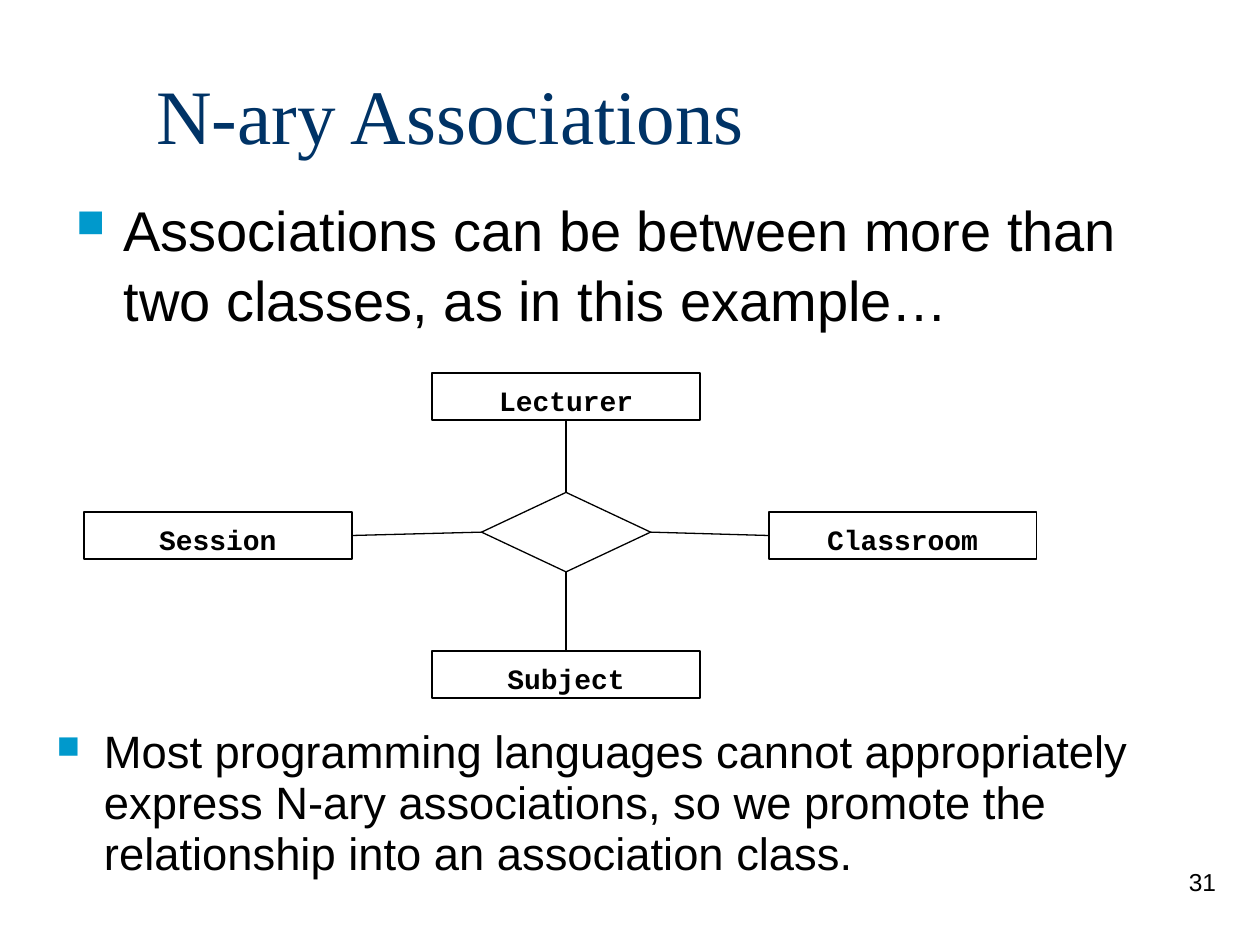
from lxml import etree
from pptx import Presentation
from pptx.dml.color import RGBColor
from pptx.enum.shapes import MSO_CONNECTOR, MSO_SHAPE
from pptx.enum.text import MSO_ANCHOR, PP_ALIGN
from pptx.oxml.ns import qn
from pptx.util import Pt

LEFT, CENTER, RIGHT = PP_ALIGN.LEFT, PP_ALIGN.CENTER, PP_ALIGN.RIGHT
TOP, MIDDLE = MSO_ANCHOR.TOP, MSO_ANCHOR.MIDDLE
RECTANGLE, DIAMOND = MSO_SHAPE.RECTANGLE, MSO_SHAPE.DIAMOND
STRAIGHT = MSO_CONNECTOR.STRAIGHT

# Content: places are left, top, width, height in points
TITLE = ("N-ary Associations", (82, 20, 612, 90))
BULLETS = [  # text, place, size name, line spacing
    ("Associations can be between more than two classes, as in this example…",
     (36.5, 106, 612, 90.5), "lead", 1.05),
    ("Most programming languages cannot appropriately express N-ary associations, "
     "so we promote the relationship into an association class.",
     (25.3, 412, 680, 108), "note", 0.94),
]
PAGE_NUMBER = ("31", (552, 492, 150, 36))

# Connection sites of rectangles and diamonds
SITE_TOP, SITE_LEFT, SITE_BOTTOM, SITE_RIGHT = range(4)
CLASSES = [  # name, left, row, site on the diamond, site on the class
    ("Lecturer", 247, 0, SITE_TOP, SITE_BOTTOM),
    ("Session", 48, 1, SITE_LEFT, SITE_RIGHT),
    ("Subject", 247, 2, SITE_BOTTOM, SITE_TOP),
    ("Classroom", 439.3, 1, SITE_RIGHT, SITE_LEFT),
]
CLASS_SIZE = (153, 27)
FIRST_ROW, ROW_STEP = 213, 79.5
ASSOCIATION = (275.2, 281.4, 96.6, 45.4)

THEME = {
    "title": ("Times New Roman", 44, RGBColor(0x00, 0x33, 0x66)),
    "lead": ("Arial", 32, RGBColor(0, 0, 0)),
    "note": ("Arial", 25.9, RGBColor(0, 0, 0)),
    "class": ("Courier New", 16, RGBColor(0, 0, 0)),
    "page": ("Arial", 14, RGBColor(0, 0, 0)),
    "line": RGBColor(0, 0, 0),
    "bullet": "0099CC",
}
BULLET_INDENT = 27


def points(place):
    return [Pt(value) for value in place]


def write(box, text, style, align=LEFT, anchor=TOP, bold=False, inset_top=3.6):
    frame = box.text_frame
    frame.word_wrap = True
    frame.vertical_anchor = anchor
    frame.margin_left = frame.margin_right = Pt(7.2)
    frame.margin_top, frame.margin_bottom = Pt(inset_top), Pt(3.6)
    para = frame.paragraphs[0]
    para.text = text
    para.alignment = align
    font = para.font
    font.name, size, font.color.rgb = THEME[style]
    font.size, font.bold = Pt(size), bold
    return para


def add_bullet(para):
    properties = para._p.get_or_add_pPr()
    properties.set("marL", str(Pt(BULLET_INDENT)))
    properties.set("indent", str(-Pt(BULLET_INDENT)))
    colour = etree.Element(qn("a:buClr"))
    etree.SubElement(colour, qn("a:srgbClr"), val=THEME["bullet"])
    size = etree.Element(qn("a:buSzPct"), val="70000")
    mark = etree.Element(qn("a:buChar"), char="■")
    # Bullet elements come after the spacing and before the font
    place = list(properties).index(properties.find(qn("a:defRPr")))
    properties[place:place] = [colour, size, mark]


def add_outline(slide, kind, place, width):
    shape = slide.shapes.add_shape(kind, *points(place))
    shape.shadow.inherit = False
    shape.fill.background()
    shape.line.color.rgb = THEME["line"]
    shape.line.width = Pt(width)
    return shape


def link(slide, start, start_site, end, end_site):
    line = slide.shapes.add_connector(STRAIGHT, 0, 0, 0, 0)
    line.begin_connect(start, start_site)
    line.end_connect(end, end_site)
    line.line.color.rgb = THEME["line"]
    line.line.width = Pt(0.75)
    etree.SubElement(line._element.spPr, qn("a:effectLst"))


def main():
    deck = Presentation()
    deck.slide_width, deck.slide_height = Pt(720), Pt(540)
    slide = deck.slides.add_slide(deck.slide_layouts[5])

    # Title
    text, place = TITLE
    title = slide.shapes.title
    title.left, title.top, title.width, title.height = points(place)
    write(title, text, "title", anchor=MIDDLE)

    # Bulleted statements
    for text, place, style, spacing in BULLETS:
        para = write(slide.shapes.add_textbox(*points(place)), text, style)
        para.line_spacing = spacing
        add_bullet(para)

    # Classes around the association diamond
    diamond = add_outline(slide, DIAMOND, ASSOCIATION, 0.75)
    for name, left, row, diamond_site, class_site in CLASSES:
        place = (left, FIRST_ROW + row * ROW_STEP, *CLASS_SIZE)
        box = add_outline(slide, RECTANGLE, place, 1)
        write(box, name, "class", CENTER, bold=True, inset_top=6)
        link(slide, diamond, diamond_site, box, class_site)

    # Page number
    text, place = PAGE_NUMBER
    write(slide.shapes.add_textbox(*points(place)), text, "page", RIGHT)

    deck.save("out.pptx")


if __name__ == "__main__":
    main()
